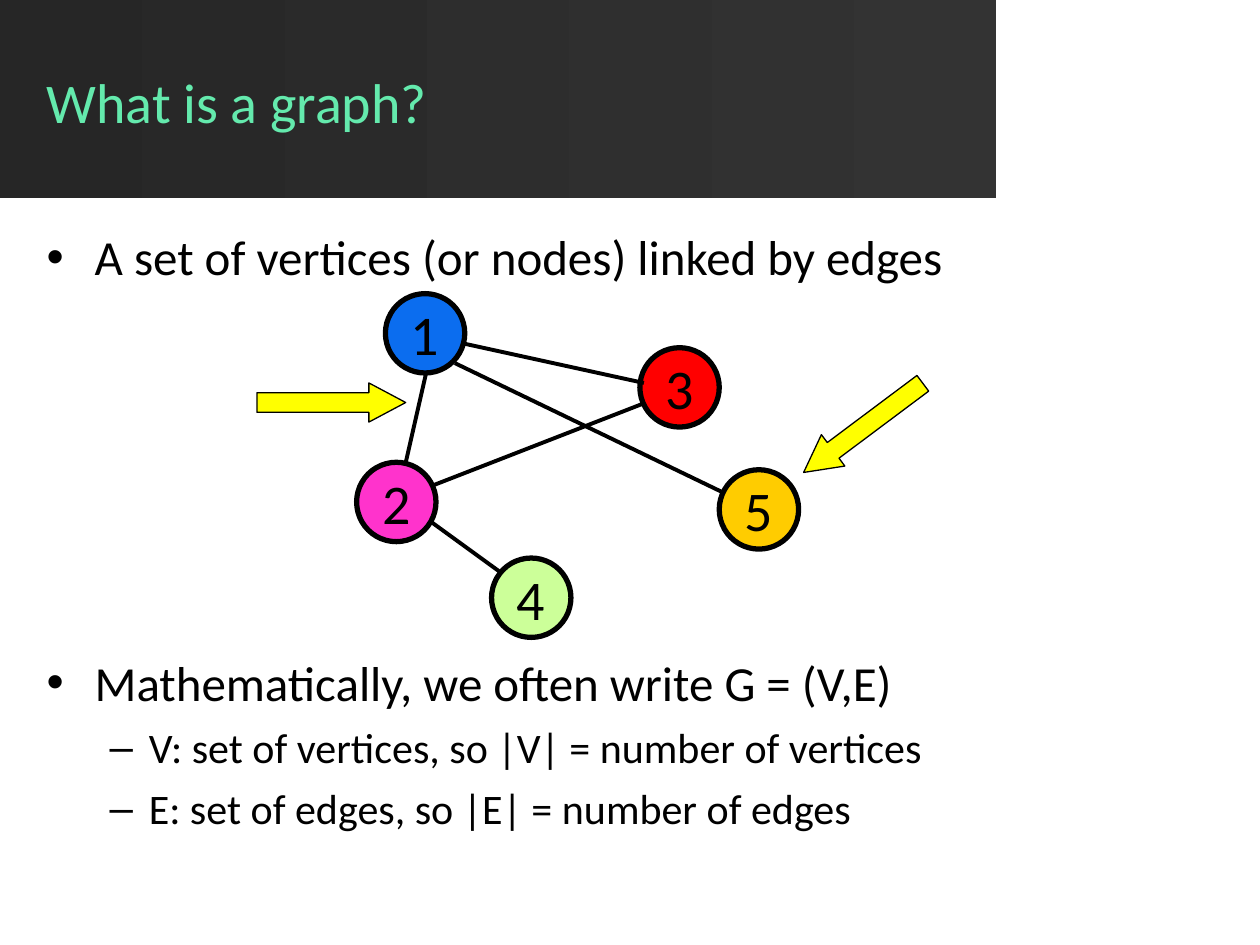
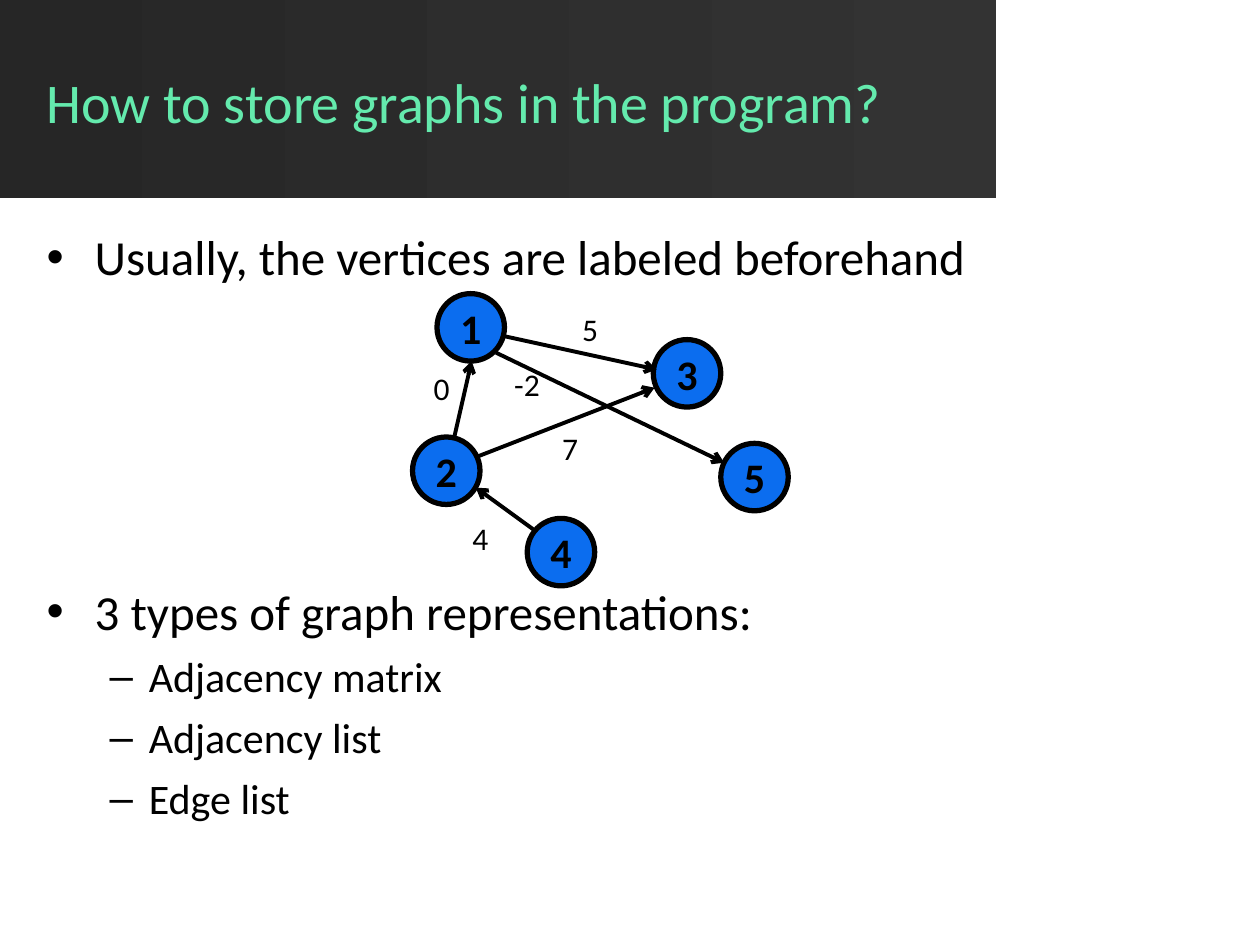
from lxml.etree import SubElement
from pptx import Presentation
from pptx.dml.color import RGBColor
from pptx.enum.shapes import MSO_CONNECTOR, MSO_SHAPE
from pptx.enum.text import MSO_ANCHOR, PP_ALIGN
from pptx.oxml.ns import qn
from pptx.util import Cm, Pt

FONT = "Calibri"
BLACK = RGBColor(0x00, 0x00, 0x00)
BAND_LEFT = RGBColor(0x26, 0x26, 0x26)
BAND_RIGHT = RGBColor(0x33, 0x33, 0x33)
MINT = RGBColor(0x64, 0xEA, 0xAD)
BLUE = RGBColor(0x0B, 0x6D, 0xEF)
RED = RGBColor(0xFF, 0x00, 0x00)
GREEN = RGBColor(0xCC, 0xFF, 0x99)
PINK = RGBColor(0xFF, 0x33, 0xCC)
GOLD = RGBColor(0xFF, 0xCC, 0x00)
YELLOW = RGBColor(0xFF, 0xFF, 0x00)

NODES = {
    "1": (7.77, 5.92),
    "3": (12.9, 7.01),
    "4": (9.91, 11.25),
    "2": (7.19, 9.32),
    "5": (14.5, 9.47),
}
NODE_SIZE = 1.6
EDGES = [
    ((9.37, 6.93), (12.98, 7.72)),
    ((8.18, 9.32), (8.59, 7.52)),
    ((10.08, 11.53), (8.69, 10.52)),
    ((9.17, 7.32), (14.58, 9.93)),
    ((8.74, 9.78), (12.93, 8.15)),
]
WEIGHTS = [
    ("5", 11.3, 6.12),
    ("-2", 10.03, 7.24),
    ("7", 10.9, 8.53),
    ("4", 9.09, 10.34),
    ("0", 8.31, 7.32),
]
POINTERS = [(5.18, 7.72, 0), (15.9, 8.23, 143.2)]
NODE_COLORS = {"1": BLUE, "2": PINK, "3": RED, "4": GREEN, "5": GOLD}

PAGES = [
    {
        "title": "What is a graph?",
        "intro": "A set of vertices (or nodes) linked by edges",
        "lines_before_detail": 6,
        "detail": "Mathematically, we often write G = (V,E)",
        "items": [
            "V: set of vertices, so |V| = number of vertices",
            "E: set of edges, so |E| = number of edges",
        ],
        "graph": {"left": 7.77, "scale": 1, "colors": NODE_COLORS, "size": 32},
        "pointers": POINTERS,
        "weights": [],
    },
    {
        "title": "How to store graphs in the program?",
        "intro": "Usually, the vertices are labeled beforehand",
        "lines_before_detail": 5,
        "detail": "3 types of graph representations:",
        "items": ["Adjacency matrix", "Adjacency list", "Edge list"],
        "graph": {
            "left": 8.81,
            "scale": 0.85,
            "colors": dict.fromkeys(NODES, BLUE),
            "size": 24,
            "bold": True,
            "directed": True,
        },
        "pointers": [],
        "weights": WEIGHTS,
    },
]

BODY_LEFT, BODY_TOP, BODY_WIDTH, BODY_BOTTOM = 0.69, 4.45, 22.86, 17.02
LINE_PITCH = 1.43
BULLETS = [
    {"mark": "•", "margin": 0.97, "hang": 0.97, "size": 28, "before": 7},
    {"mark": "–", "margin": 2.06, "hang": 0.79, "size": 24, "before": 6},
]


def write(paragraph, text, size, color=BLACK, bold=False, align=PP_ALIGN.LEFT):
    paragraph.alignment = align
    span = paragraph.add_run()
    span.text = text
    span.font.name = FONT
    span.font.size = Pt(size)
    span.font.bold = bold
    span.font.color.rgb = color


def add_text(shapes, text, left, top, width, height, anchor=MSO_ANCHOR.TOP, **style):
    box = shapes.add_textbox(Cm(left), Cm(top), Cm(width), Cm(height))
    box.text_frame.word_wrap = True
    box.text_frame.vertical_anchor = anchor
    write(box.text_frame.paragraphs[0], text, **style)


def add_bullets(page, entries, top, bottom):
    box = page.shapes.add_textbox(
        Cm(BODY_LEFT), Cm(top), Cm(BODY_WIDTH), Cm(bottom - top))
    frame = box.text_frame
    frame.word_wrap = True
    for index, (level, text) in enumerate(entries):
        bullet = BULLETS[level]
        paragraph = frame.add_paragraph() if index else frame.paragraphs[0]
        paragraph.level = level
        properties = paragraph._p.get_or_add_pPr()
        properties.set("marL", str(Cm(bullet["margin"])))
        properties.set("indent", str(-Cm(bullet["hang"])))
        SubElement(properties, qn("a:buFont"), typeface="Arial")
        SubElement(properties, qn("a:buChar"), char=bullet["mark"])
        if index:
            paragraph.space_before = Pt(bullet["before"])
        write(paragraph, text, bullet["size"])


def add_filled(shapes, preset, left, top, width, height, fill, line_width):
    shape = shapes.add_shape(preset, Cm(left), Cm(top), Cm(width), Cm(height))
    shape.shadow.inherit = False
    shape.fill.solid()
    shape.fill.fore_color.rgb = fill
    shape.line.color.rgb = BLACK
    shape.line.width = Pt(line_width)
    return shape


def add_edge(shapes, start, end, directed):
    edge = shapes.add_connector(
        MSO_CONNECTOR.STRAIGHT, *(Cm(value) for value in (*start, *end)))
    edge.line.color.rgb = BLACK
    edge.line.width = Pt(2.25)
    if directed:
        SubElement(edge.line._get_or_add_ln(), qn("a:tailEnd"), type="arrow")
    SubElement(edge._element.spPr, qn("a:effectLst"))


def add_graph(shapes, left, scale, colors, size, bold=False, directed=False):
    first_x, first_y = NODES["1"]

    def place(point):
        x, y = point
        return left + (x - first_x) * scale, first_y + (y - first_y) * scale

    diameter = NODE_SIZE * scale
    for label, point in NODES.items():
        node = add_filled(shapes, MSO_SHAPE.OVAL, *place(point),
                          diameter, diameter, colors[label], 3)
        node.text_frame.word_wrap = False
        node.text_frame.vertical_anchor = MSO_ANCHOR.MIDDLE
        write(node.text_frame.paragraphs[0], label, size,
              bold=bold, align=PP_ALIGN.CENTER)
    for start, end in EDGES:
        add_edge(shapes, place(start), place(end), directed)


def add_header(page, title):
    band = page.shapes.add_shape(MSO_SHAPE.RECTANGLE, 0, 0, Cm(20.09), Cm(3.99))
    band.shadow.inherit = False
    band.line.fill.background()
    band.fill.gradient()
    band.fill.gradient_angle = 0
    for stop, color in zip(band.fill.gradient_stops, (BAND_LEFT, BAND_RIGHT)):
        stop.color.rgb = color
    add_text(page.shapes, title, 0.69, 0.76, 19, 2.57,
             anchor=MSO_ANCHOR.MIDDLE, size=32, color=MINT)


def build_page(deck, content):
    page = deck.slides.add_slide(deck.slide_layouts[6])
    add_header(page, content["title"])
    detail_top = BODY_TOP + content["lines_before_detail"] * LINE_PITCH
    add_bullets(page, [(0, content["intro"])], BODY_TOP, BODY_TOP + LINE_PITCH)
    items = [(1, item) for item in content["items"]]
    add_bullets(page, [(0, content["detail"])] + items, detail_top, BODY_BOTTOM)

    shapes = page.shapes.add_group_shape().shapes
    add_graph(shapes, **content["graph"])
    for text, left, top in content["weights"]:
        add_text(shapes, text, left, top, 1.19, 1.02, size=18, align=PP_ALIGN.CENTER)
    for left, top, rotation in content["pointers"]:
        pointer = add_filled(page.shapes, MSO_SHAPE.RIGHT_ARROW,
                             left, top, 3, 0.79, YELLOW, 0.75)
        pointer.adjustments[0] = 0.5
        pointer.adjustments[1] = 0.94
        pointer.rotation = rotation


def main():
    deck = Presentation()
    deck.slide_width, deck.slide_height = Cm(25.4), Cm(19.05)
    for content in PAGES:
        build_page(deck, content)
    deck.save("out.pptx")


if __name__ == "__main__":
    main()
